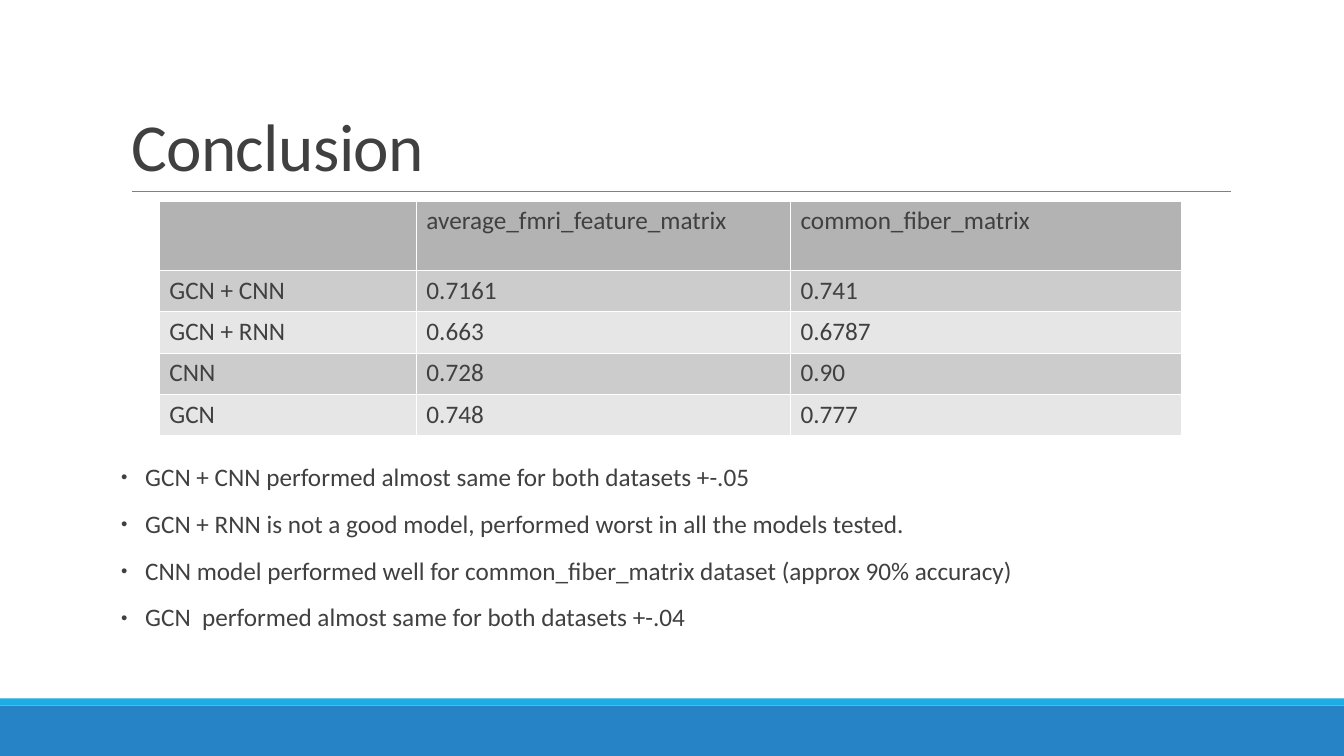
from dataclasses import dataclass

from lxml.etree import SubElement
from pptx import Presentation
from pptx.dml.color import RGBColor
from pptx.enum.shapes import MSO_CONNECTOR, MSO_SHAPE
from pptx.enum.text import MSO_ANCHOR, MSO_AUTO_SIZE, PP_ALIGN
from pptx.oxml.ns import qn
from pptx.util import Inches, Pt


@dataclass(frozen=True)
class Theme:
    font: str = "Calibri"
    ink: str = "404040"
    rule: str = "808080"
    footer: str = "2683C6"
    accent: str = "1CADE4"
    border: str = "FFFFFF"
    header: str = "B3B3B3"
    bands: tuple = ("CCCCCC", "E6E6E6")
    title_size: int = 48
    text_size: int = 18


THEME = Theme()

RESULTS = [
    ("", "average_fmri_feature_matrix", "common_fiber_matrix"),
    ("GCN + CNN", "0.7161", "0.741"),
    ("GCN + RNN", "0.663", "0.6787"),
    ("CNN", "0.728", "0.90"),
    ("GCN", "0.748", "0.777"),
]
COLUMN_WIDTHS = (2.55, 3.71, 3.87)
HEADER_HEIGHT, ROW_HEIGHT = 0.69, 0.41

FINDINGS = [
    "GCN + CNN performed almost same for both datasets +-.05",
    "GCN + RNN is not a good model, performed worst in all the models tested.",
    "CNN model performed well for common_fiber_matrix dataset (approx 90% accuracy)",
    "GCN  performed almost same for both datasets +-.04",
]


def color(code):
    return RGBColor.from_string(code)


def add_run(paragraph, text, size):
    run = paragraph.add_run()
    run.text = text
    run.font.name = THEME.font
    run.font.size = Pt(size)
    run.font.bold = False
    run.font.color.rgb = color(THEME.ink)
    return run


def place(shape, left, top, width, height):
    shape.left, shape.top = Inches(left), Inches(top)
    shape.width, shape.height = Inches(width), Inches(height)


def add_bar(slide, top, height, fill):
    bar = slide.shapes.add_shape(
        MSO_SHAPE.RECTANGLE, 0, Inches(top), Inches(13.33), Inches(height)
    )
    bar.shadow.inherit = False
    bar.fill.solid()
    bar.fill.fore_color.rgb = color(fill)
    bar.line.fill.background()


def add_rule(slide, left, right, y):
    rule = slide.shapes.add_connector(
        MSO_CONNECTOR.STRAIGHT, Inches(left), Inches(y), Inches(right), Inches(y)
    )
    rule.line.color.rgb = color(THEME.rule)
    rule.line.width = Pt(0.5)
    SubElement(rule._element.spPr, qn("a:effectLst"))


def fill_title(title, text):
    place(title, 1.2, 0.31, 11, 1.58)
    frame = title.text_frame
    frame.auto_size = MSO_AUTO_SIZE.NONE
    frame.vertical_anchor = MSO_ANCHOR.BOTTOM
    heading = frame.paragraphs[0]
    heading.alignment = PP_ALIGN.LEFT
    heading.line_spacing = 0.85
    run = add_run(heading, text, THEME.title_size)
    run.font._element.set("spc", "-40")


def set_bullet(paragraph):
    properties = paragraph._p.get_or_add_pPr()
    indent = Inches(0.24)
    properties.set("marL", str(indent))
    properties.set("indent", str(-indent))
    bullet_color = SubElement(properties, qn("a:buClr"))
    SubElement(bullet_color, qn("a:srgbClr"), val=THEME.ink)
    SubElement(properties, qn("a:buSzPct"), val="45000")
    SubElement(properties, qn("a:buChar"), char="●")


def fill_findings(body, findings):
    place(body, 1.2, 4.56, 11, 2.12)
    frame = body.text_frame
    frame.auto_size = MSO_AUTO_SIZE.NONE
    frame.vertical_anchor = MSO_ANCHOR.TOP
    frame.margin_left = frame.margin_right = 0
    for index, text in enumerate(findings):
        paragraph = frame.add_paragraph() if index else frame.paragraphs[0]
        paragraph.alignment = PP_ALIGN.LEFT
        paragraph.line_spacing = 0.9
        paragraph.space_before = Pt(12 if index else 0)
        paragraph.space_after = Pt(2)
        set_bullet(paragraph)
        add_run(paragraph, text, THEME.text_size)


def set_borders(cell):
    properties = cell._tc.get_or_add_tcPr()
    for index, side in enumerate(("a:lnL", "a:lnR", "a:lnT", "a:lnB")):
        edge = properties.makeelement(qn(side), {"w": str(Pt(0.06))})
        fill = SubElement(edge, qn("a:solidFill"))
        SubElement(fill, qn("a:srgbClr"), val=THEME.border)
        properties.insert(index, edge)


def fill_cell(cell, text, fill):
    cell.fill.solid()
    cell.fill.fore_color.rgb = color(fill)
    set_borders(cell)
    if text:
        add_run(cell.text_frame.paragraphs[0], text, THEME.text_size)


def add_results(slide, results):
    heights = [HEADER_HEIGHT] + [ROW_HEIGHT] * (len(results) - 1)
    table = slide.shapes.add_table(
        len(results), len(COLUMN_WIDTHS), Inches(1.58), Inches(1.99),
        Inches(sum(COLUMN_WIDTHS)), Inches(sum(heights)),
    ).table
    for column, width in zip(table.columns, COLUMN_WIDTHS):
        column.width = Inches(width)
    for index, values in enumerate(results):
        table.rows[index].height = Inches(heights[index])
        fill = THEME.bands[(index - 1) % 2] if index else THEME.header
        for column, text in enumerate(values):
            fill_cell(table.cell(index, column), text, fill)


def main():
    deck = Presentation()
    deck.slide_width, deck.slide_height = Inches(13.33), Inches(7.5)
    slide = deck.slides.add_slide(deck.slide_layouts[1])
    add_bar(slide, 7, 0.5, THEME.footer)
    add_bar(slide, 6.93, 0.07, THEME.accent)
    add_rule(slide, 1.31, 12.21, 1.9)
    fill_title(slide.shapes.title, "Conclusion")
    fill_findings(slide.placeholders[1], FINDINGS)
    add_results(slide, RESULTS)
    deck.save("out.pptx")


if __name__ == "__main__":
    main()
